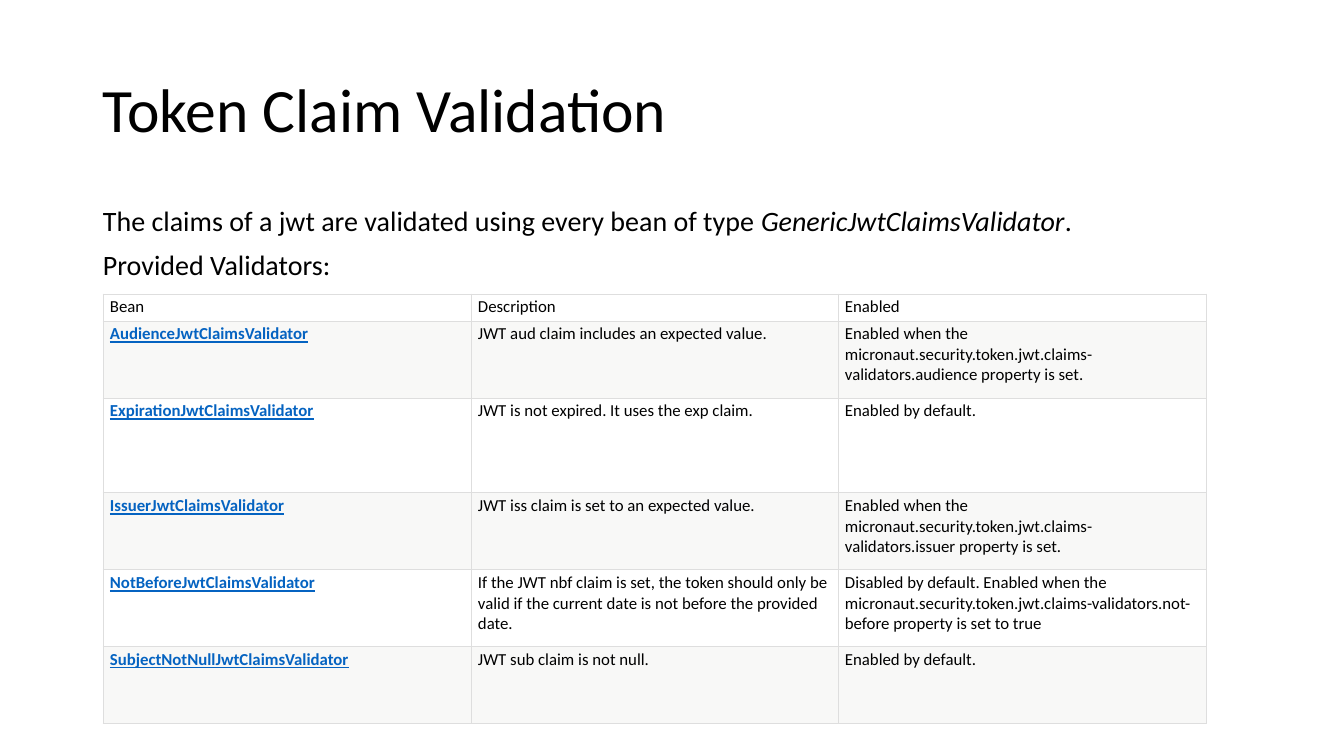
"""Build the slide on token claim validation, with its table of validators."""
import pptx
import pptx.dml.color
import pptx.enum.text
import pptx.oxml
import pptx.util

PX = 9071.43
INK, LINK, EDGE = "000000", "0563C1", "DEDEDE"
FILLS = ["FFFFFF", "F8F8F7"]
NS = "http://schemas.openxmlformats.org/drawingml/2006/main"


def color(code):
    return pptx.dml.color.RGBColor.from_string(code)


def write(par, text, size, code=INK, **style):
    run = par.add_run()
    run.text = text
    font = run.font
    font.name = "Calibri"
    font.size = pptx.util.Pt(size)
    font.color.rgb = color(code)
    for key, value in style.items():
        setattr(font, key, value)


deck = pptx.Presentation()
deck.slide_width = pptx.util.Inches(13.333)
deck.slide_height = pptx.util.Inches(7.5)
slide = deck.slides.add_slide(deck.slide_layouts[6])

anchor = pptx.enum.text.MSO_ANCHOR
boxes = [
    (40, 146, anchor.MIDDLE, 44, 0, [[("Token Claim Validation", False)]]),
    (202, 480, anchor.TOP, 20, 10, [
        [("The claims of a jwt are validated using every bean of type ", False),
         ("GenericJwtClaimsValidator", True), (".", False)],
        [("Provided Validators:", False)],
    ]),
]
for top, height, place, size, gap, lines in boxes:
    box = slide.shapes.add_textbox(*[round(n * PX) for n in (93, top, 1159, height)])
    frame = box.text_frame
    frame.word_wrap = True
    frame.vertical_anchor = place
    for i, line in enumerate(lines):
        par = frame.add_paragraph() if i else frame.paragraphs[0]
        par.line_spacing = 0.9
        par.space_before = pptx.util.Pt(gap)
        for text, slant in line:
            write(par, text, size, italic=slant)

rows = [
    ("Bean", "Description", "Enabled"),
    ("AudienceJwtClaimsValidator",
     "JWT aud claim includes an expected value.",
     "Enabled when the micronaut.security.token.jwt.claims-validators.audience property is set."),
    ("ExpirationJwtClaimsValidator",
     "JWT is not expired. It uses the exp claim.",
     "Enabled by default."),
    ("IssuerJwtClaimsValidator",
     "JWT iss claim is set to an expected value.",
     "Enabled when the micronaut.security.token.jwt.claims-validators.issuer property is set."),
    ("NotBeforeJwtClaimsValidator",
     "If the JWT nbf claim is set, the token should only be valid if the current date "
     "is not before the provided date.",
     "Disabled by default. Enabled when the micronaut.security.token.jwt.claims-validators.not-before"
     " property is set to true"),
    ("SubjectNotNullJwtClaimsValidator",
     "JWT sub claim is not null.",
     "Enabled by default."),
]
widths = [368, 367, 368]
heights = [27, 77, 95, 77, 77, 77]
area = [round(n * PX) for n in (103, 294, sum(widths), sum(heights))]
table = slide.shapes.add_table(len(rows), len(widths), *area).table
table.first_row = False
table.horz_banding = False
for col, width in zip(table.columns, widths):
    col.width = round(width * PX)
for row, height in zip(table.rows, heights):
    row.height = round(height * PX)

for r, row in enumerate(rows):
    for c, text in enumerate(row):
        cell = table.cell(r, c)
        cell.margin_left = cell.margin_right = round(7 * PX)
        cell.margin_top = cell.margin_bottom = round(3 * PX)
        cell.fill.solid()
        cell.fill.fore_color.rgb = color(FILLS[r % 2])
        par = cell.text_frame.paragraphs[0]
        if r and c == 0:
            write(par, text, 12, LINK, bold=True, underline=True)
        else:
            write(par, text, 12)
        props = cell._tc.get_or_add_tcPr()
        for i, side in enumerate("LRTB"):
            props.insert(i, pptx.oxml.parse_xml(
                f'<a:ln{side} xmlns:a="{NS}" w="9525"><a:solidFill>'
                f'<a:srgbClr val="{EDGE}"/></a:solidFill></a:ln{side}>'))

deck.save("out.pptx")
